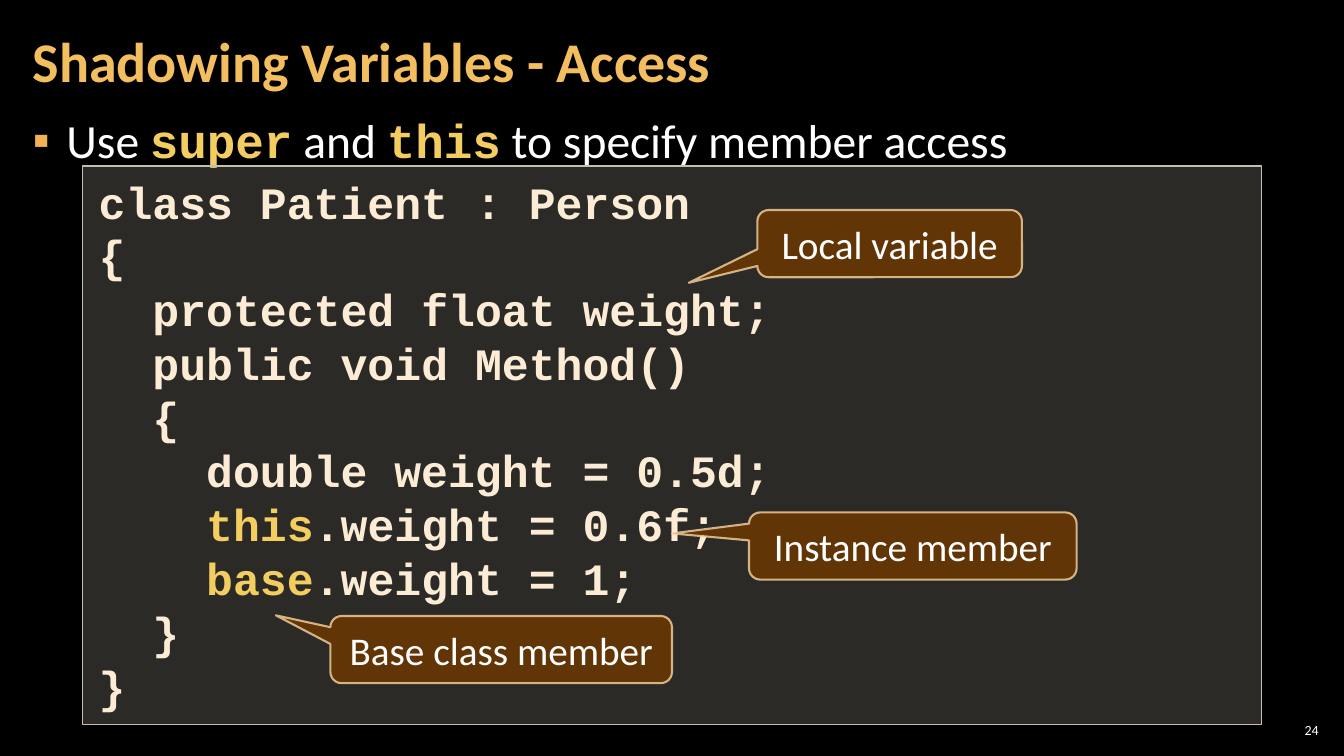
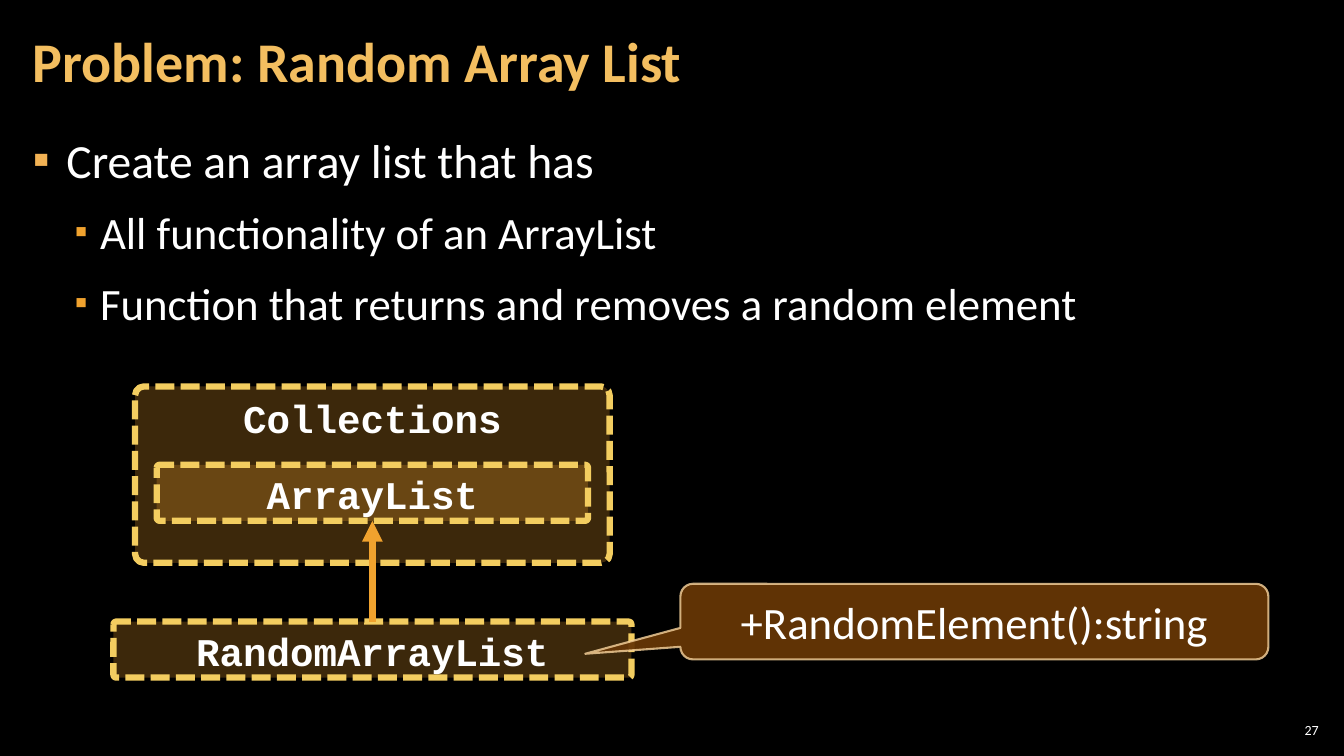
import pptx
import pptx.util
import pptx.dml.color
import pptx.enum.dml
import pptx.enum.shapes
import pptx.enum.text
import pptx.oxml.ns
import lxml.etree
from dataclasses import dataclass

Pt = pptx.util.Pt
SHAPE = pptx.enum.shapes.MSO_SHAPE
ALIGN = pptx.enum.text.PP_ALIGN
ANCHOR = pptx.enum.text.MSO_ANCHOR


@dataclass(frozen=True)
class Theme:
    back: str = "000000"
    white: str = "FFFFFF"
    title: str = "F3BE60"
    key: str = "F3CD60"
    code: str = "FCECD5"
    panel: str = "D9D5C7"
    edge: str = "C7BFAC"
    note: str = "663606"
    rim: str = "F8D49E"
    amber: str = "F0A22E"
    marks: tuple = ("F2B254", "F0A22E")
    sans: str = "Calibri"
    mono: str = "Courier New"
    head: int = 40
    body: tuple = (34, 32)
    text: int = 32
    label: int = 28
    foot: int = 10


T = Theme()


def color(code):
    return pptx.dml.color.RGBColor.from_string(code)


def child(node, tag, **attrs):
    item = lxml.etree.SubElement(node, pptx.oxml.ns.qn(tag))
    for name, value in attrs.items():
        item.set(name, str(value))
    return item


def paint(fill, code, alpha=100):
    """Fill with one colour at alpha percent opacity."""
    fill.solid()
    fill.fore_color.rgb = color(code)
    if alpha < 100:
        solid = fill._xPr.find(pptx.oxml.ns.qn("a:solidFill"))
        child(solid[0], "a:alpha", val=alpha * 1000)


def outline(line, code, width, alpha=100):
    paint(line.fill, code, alpha)
    line.width = Pt(width)


def write(para, text, size, ink=T.white, font=T.sans, bold=False):
    run = para.add_run()
    run.text = text
    run.font.size = Pt(size)
    run.font.name = font
    run.font.bold = bold
    run.font.color.rgb = color(ink)


def frame(shape, side, edge, anchor=ANCHOR.TOP):
    """Set the insets and the anchor; return the text frame."""
    text = shape.text_frame
    text.word_wrap = True
    text.margin_left = text.margin_right = Pt(side)
    text.margin_top = text.margin_bottom = Pt(edge)
    text.vertical_anchor = anchor
    return text


def paras(text):
    """Yield the first paragraph, then a new one each time."""
    yield text.paragraphs[0]
    while True:
        yield text.add_paragraph()


def block(slide, kind, x, y, w, h):
    shape = slide.shapes.add_shape(kind, Pt(x), Pt(y), Pt(w), Pt(h))
    shape.shadow.inherit = False
    return shape


def text_box(slide, x, y, w, h, side=8.5, edge=3, anchor=ANCHOR.TOP):
    box = slide.shapes.add_textbox(Pt(x), Pt(y), Pt(w), Pt(h))
    return frame(box, side, edge, anchor)


def page(deck, title, number):
    """Add a slide with its background, title and number."""
    slide = deck.slides.add_slide(deck.slide_layouts[6])
    paint(slide.background.fill, T.back)
    para = text_box(slide, 15, 3.5, 754, 87, anchor=ANCHOR.MIDDLE).paragraphs[0]
    para.line_spacing = Pt(T.head)
    write(para, title, T.head, T.title, bold=True)
    para = text_box(slide, 911, 514, 34, 15, 3, 3, ANCHOR.MIDDLE).paragraphs[0]
    para.alignment = ALIGN.RIGHT
    write(para, str(number), T.foot)
    return slide


def bullets(slide, y, items, space=1.0):
    """Add bullets; an item is a level and a list of (text, is_key)."""
    text = text_box(slide, 15, y, 930, 438)
    for para, (level, parts) in zip(paras(text), items):
        para.level = level
        para.line_spacing = space
        para.space_before = para.space_after = Pt(6)
        props = para._p.get_or_add_pPr()
        left, hang = ((24, 24), (48, 18))[level]
        props.set("marL", str(Pt(left)))
        props.set("indent", str(-Pt(hang)))
        child(child(props, "a:buClr"), "a:srgbClr", val=T.marks[level])
        child(props, "a:buSzPct", val=(100000, 80000)[level])
        child(props, "a:buFont", typeface=T.sans)
        child(props, "a:buChar", char="▪")
        for words, key in parts:
            style = (T.key, T.mono, True) if key else ()
            write(para, words, T.body[level], *style)


def listing(slide, x, y, w, h, lines):
    """Add a code panel; a line is a depth, a key word and the rest."""
    panel = block(slide, SHAPE.RECTANGLE, x, y, w, h)
    paint(panel.fill, T.panel, 20)
    outline(panel.line, T.edge, 1)
    step = 2 * 0.6 * T.text
    for para, (depth, key, rest) in zip(paras(frame(panel, 11.5, 6)), lines):
        para.alignment = ALIGN.LEFT
        para._p.get_or_add_pPr().set("marL", str(Pt(depth * step)))
        for words, ink in ((key, T.key), (rest, T.code)):
            if words:
                write(para, words, T.text, ink, T.mono, True)


def callout(slide, x, y, w, h, tip, words, size=T.label):
    """Add a speech box whose tail ends at the point tip."""
    note = block(slide, SHAPE.ROUNDED_RECTANGULAR_CALLOUT, x, y, w, h)
    note.adjustments[0] = (tip[0] - x) / w - 0.5
    note.adjustments[1] = (tip[1] - y) / h - 0.5
    paint(note.fill, T.note, 95)
    outline(note.line, T.rim, 1.5, 80)
    para = frame(note, 7.2, 3.6, ANCHOR.MIDDLE).paragraphs[0]
    para.alignment = ALIGN.CENTER
    write(para, words, size)


def node(slide, mid, y, w, h, name):
    """Add a dashed class box centred on mid."""
    box = block(slide, SHAPE.ROUNDED_RECTANGLE, mid - w / 2, y, w, h)
    box.adjustments[0] = 0.05
    paint(box.fill, T.amber, 25)
    outline(box.line, T.key, 4.5)
    box.line.dash_style = pptx.enum.dml.MSO_LINE.SQUARE_DOT
    box.line._ln.find(pptx.oxml.ns.qn("a:prstDash")).set("val", "sysDash")
    para = frame(box, 7.2, 3.6).paragraphs[0]
    para.alignment = ALIGN.CENTER
    write(para, name, T.label, font=T.mono, bold=True)
    return box


def arrow(slide, low, high):
    """Point from the top of low to the bottom of high."""
    kind = pptx.enum.shapes.MSO_CONNECTOR.STRAIGHT
    link = slide.shapes.add_connector(kind, 0, 0, 0, 0)
    link.begin_connect(low, 0)
    link.end_connect(high, 2)
    outline(link.line, T.amber, 5)
    child(link.line._ln, "a:tailEnd", type="triangle")
    child(link._element.spPr, "a:effectLst")


def access(deck):
    slide = page(deck, "Shadowing Variables - Access", 24)
    bullets(slide, 74.5, [(0, [
        ("Use ", False), ("super", True), (" and ", False), ("this", True),
        (" to specify member access", False)])], 1.05)
    listing(slide, 59, 118.5, 842, 399, [
        (0, "", "class Patient : Person"),
        (0, "", "{"),
        (1, "", "protected float weight;"),
        (1, "", "public void Method()"),
        (1, "", "{"),
        (2, "", "double weight = 0.5d;"),
        (2, "this", ".weight = 0.6f;"),
        (2, "base", ".weight = 1;"),
        (1, "", "}"),
        (0, "", "}")])
    callout(slide, 535, 366, 234, 48, (480, 381), "Instance member")
    callout(slide, 236, 440, 244, 48, (197, 439.5), "Base class member")
    callout(slide, 541, 150, 189, 48, (492, 202), "Local variable")


def problem(deck):
    slide = page(deck, "Problem: Random Array List", 27)
    bullets(slide, 90.5, [
        (0, [("Create an array list that has", False)]),
        (1, [("All functionality of an ArrayList", False)]),
        (1, [("Function that returns and removes a random element", False)])])
    mid = 266
    node(slide, mid, 276, 339, 126, "Collections")
    high = node(slide, mid, 332, 308, 40, "ArrayList")
    low = node(slide, mid, 444, 370, 40, "RandomArrayList")
    arrow(slide, low, high)
    callout(slide, 486, 417, 420, 54, (418, 467), "+RandomElement():string", T.text)


def main():
    deck = pptx.Presentation()
    deck.slide_width, deck.slide_height = Pt(960), Pt(540)
    access(deck)
    problem(deck)
    deck.save("out.pptx")


if __name__ == "__main__":
    main()
